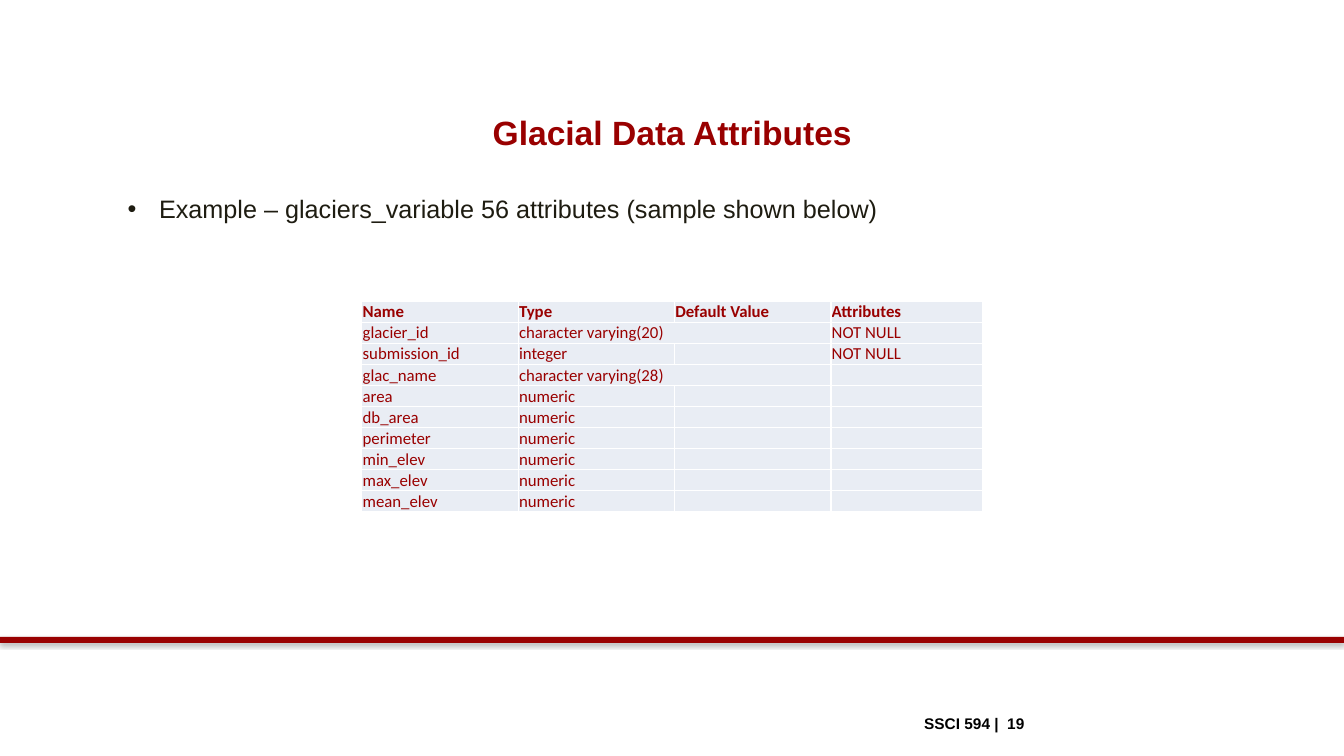
from lxml.etree import SubElement
from pptx import Presentation
from pptx.dml.color import RGBColor
from pptx.enum.shapes import MSO_SHAPE
from pptx.enum.text import MSO_ANCHOR, PP_ALIGN
from pptx.oxml import parse_xml
from pptx.oxml.ns import nsdecls, qn
from pptx.util import Cm, Pt

CARDINAL = "990000"
CELL_FILL = "E9EDF4"
COLUMN_WIDTHS = [3.94, 3.94, 3.94, 3.81]
ROW_HEIGHT = 0.53
ATTRIBUTES = [
    ("Name", "Type", "Default Value", "Attributes"),
    ("glacier_id", "character varying(20)", "", "NOT NULL"),
    ("submission_id", "integer", "", "NOT NULL"),
    ("glac_name", "character varying(28)", "", ""),
] + [
    (name, "numeric", "", "")
    for name in ("area", "db_area", "perimeter", "min_elev", "max_elev", "mean_elev")
]


def colour(hex_string):
    return RGBColor.from_string(hex_string)


def format_runs(paragraph, size, hex_string, bold=False, font_name="Arial"):
    for run in paragraph.runs:
        run.font.name = font_name
        run.font.size = Pt(size)
        run.font.bold = bold
        run.font.color.rgb = colour(hex_string)


def set_title(slide, text):
    title = slide.shapes.title
    title.left, title.top, title.width, title.height = Cm(2.97), Cm(2.67), Cm(27.94), Cm(1.32)
    title.text_frame.text = text
    title.text_frame.vertical_anchor = MSO_ANCHOR.MIDDLE
    paragraph = title.text_frame.paragraphs[0]
    paragraph.alignment = PP_ALIGN.CENTER
    format_runs(paragraph, 24, CARDINAL, bold=True)


def add_text(slide, text, left, top, width, height, size, hex_string, bold=False, wrap=True):
    text_box = slide.shapes.add_textbox(Cm(left), Cm(top), Cm(width), Cm(height))
    text_box.text_frame.word_wrap = wrap
    paragraph = text_box.text_frame.paragraphs[0]
    paragraph.text = text
    format_runs(paragraph, size, hex_string, bold)
    return paragraph


def add_bullet(paragraph, indent):
    properties = paragraph._p.get_or_add_pPr()
    properties.set("marL", str(Cm(indent)))
    properties.set("indent", str(-Cm(indent)))
    SubElement(properties, qn("a:buFont"), typeface="Arial")
    SubElement(properties, qn("a:buChar"), char="•")


def add_rule(slide):
    """Draw the full-width bar with its soft shadow."""
    rule = slide.shapes.add_shape(MSO_SHAPE.RECTANGLE, Cm(0), Cm(16.05), Cm(33.87), Cm(0.15))
    rule.fill.solid()
    rule.fill.fore_color.rgb = colour(CARDINAL)
    rule.line.fill.background()
    rule.shadow.inherit = False
    effects = rule._element.spPr.find(qn("a:effectLst"))
    effects.append(parse_xml(
        f'<a:outerShdw {nsdecls("a")} blurRad="{Pt(3.1)}" dist="{Pt(1.6)}" dir="5400000" '
        'rotWithShape="0"><a:srgbClr val="000000"><a:alpha val="38000"/></a:srgbClr>'
        '</a:outerShdw>'))


def add_borders(cell):
    properties = cell._tc.get_or_add_tcPr()
    for position, side in enumerate(("lnL", "lnR", "lnT", "lnB")):
        properties.insert(position, parse_xml(
            f'<a:{side} {nsdecls("a")} w="{Pt(1)}"><a:solidFill>'
            f'<a:srgbClr val="FFFFFF"/></a:solidFill></a:{side}>'))


def fill_cell(cell, text, bold):
    cell.margin_left = cell.margin_right = cell.margin_top = Cm(0.02)
    cell.margin_bottom = 0
    cell.vertical_anchor = MSO_ANCHOR.BOTTOM
    cell.fill.solid()
    cell.fill.fore_color.rgb = colour(CELL_FILL)
    add_borders(cell)
    paragraph = cell.text_frame.paragraphs[0]
    if text:
        paragraph.text = text
        format_runs(paragraph, 12, CARDINAL, bold, "Calibri")
    else:
        # A small end mark keeps an empty cell from stretching its row
        SubElement(paragraph._p, qn("a:endParaRPr"), sz="1000")


def add_attribute_table(slide):
    frame = slide.shapes.add_table(
        len(ATTRIBUTES), len(COLUMN_WIDTHS), Cm(9.12), Cm(7.59),
        Cm(sum(COLUMN_WIDTHS)), Cm(ROW_HEIGHT * len(ATTRIBUTES)))
    table = frame.table
    table.first_row = table.horz_banding = False
    for column, width in zip(table.columns, COLUMN_WIDTHS):
        column.width = Cm(width)
    for row_index, values in enumerate(ATTRIBUTES):
        table.rows[row_index].height = Cm(ROW_HEIGHT)
        for column_index, value in enumerate(values):
            fill_cell(table.cell(row_index, column_index), value, bold=row_index == 0)
        if values[1].startswith("character"):
            table.cell(row_index, 1).merge(table.cell(row_index, 2))


def main():
    presentation = Presentation()
    presentation.slide_width, presentation.slide_height = Cm(33.87), Cm(19.05)
    slide = presentation.slides.add_slide(presentation.slide_layouts[5])
    add_rule(slide)
    set_title(slide, "Glacial Data Attributes")
    example = add_text(
        slide, "Example – glaciers_variable 56 attributes (sample shown below)",
        2.97, 4.75, 27.94, 1.03, 18, "1E1C11")
    add_bullet(example, 0.79)
    add_attribute_table(slide)
    add_text(slide, "SSCI 594 |  19", 23.04, 17.86, 3.05, 0.7, 11, "000000", bold=True, wrap=False)
    presentation.save("out.pptx")


if __name__ == "__main__":
    main()
